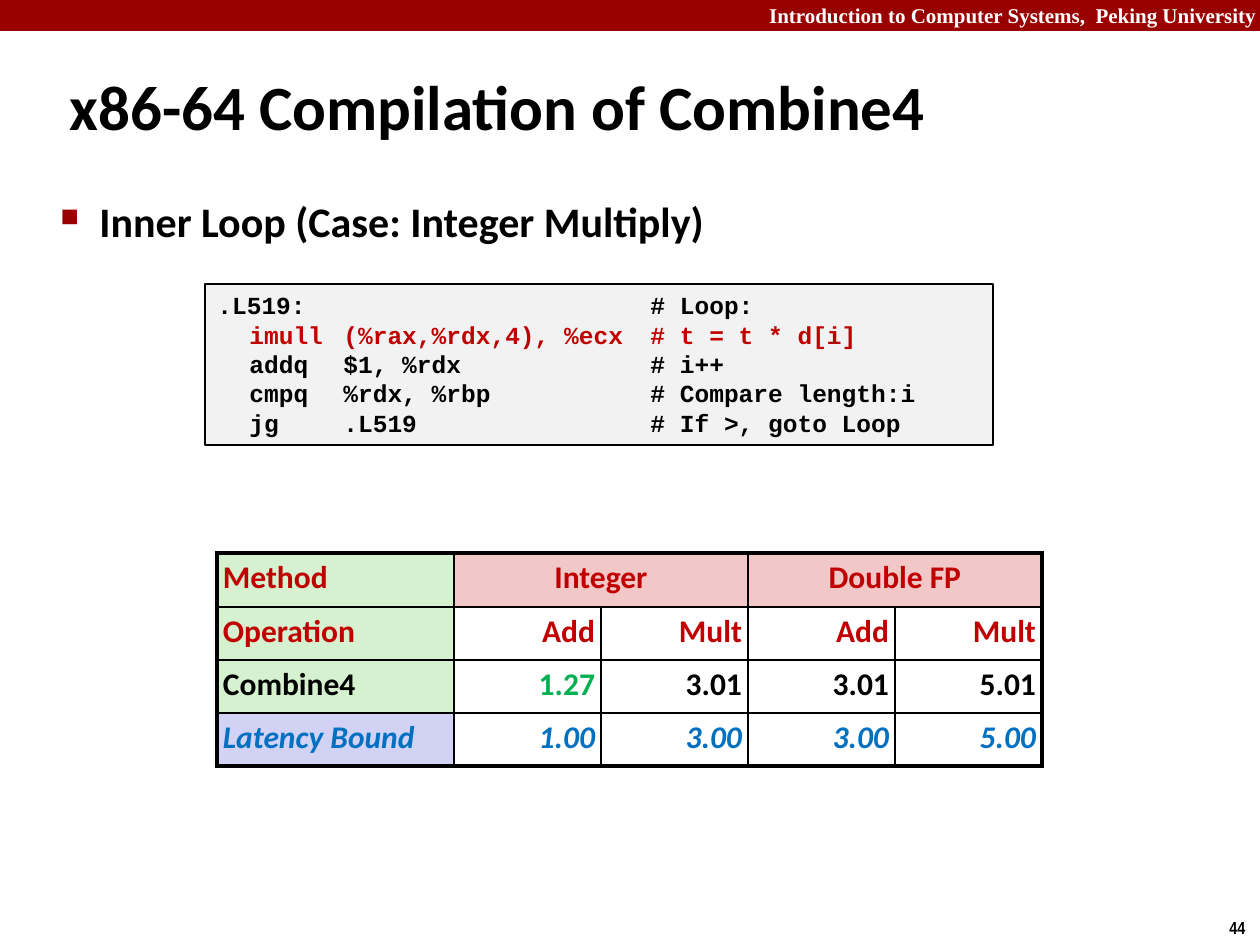
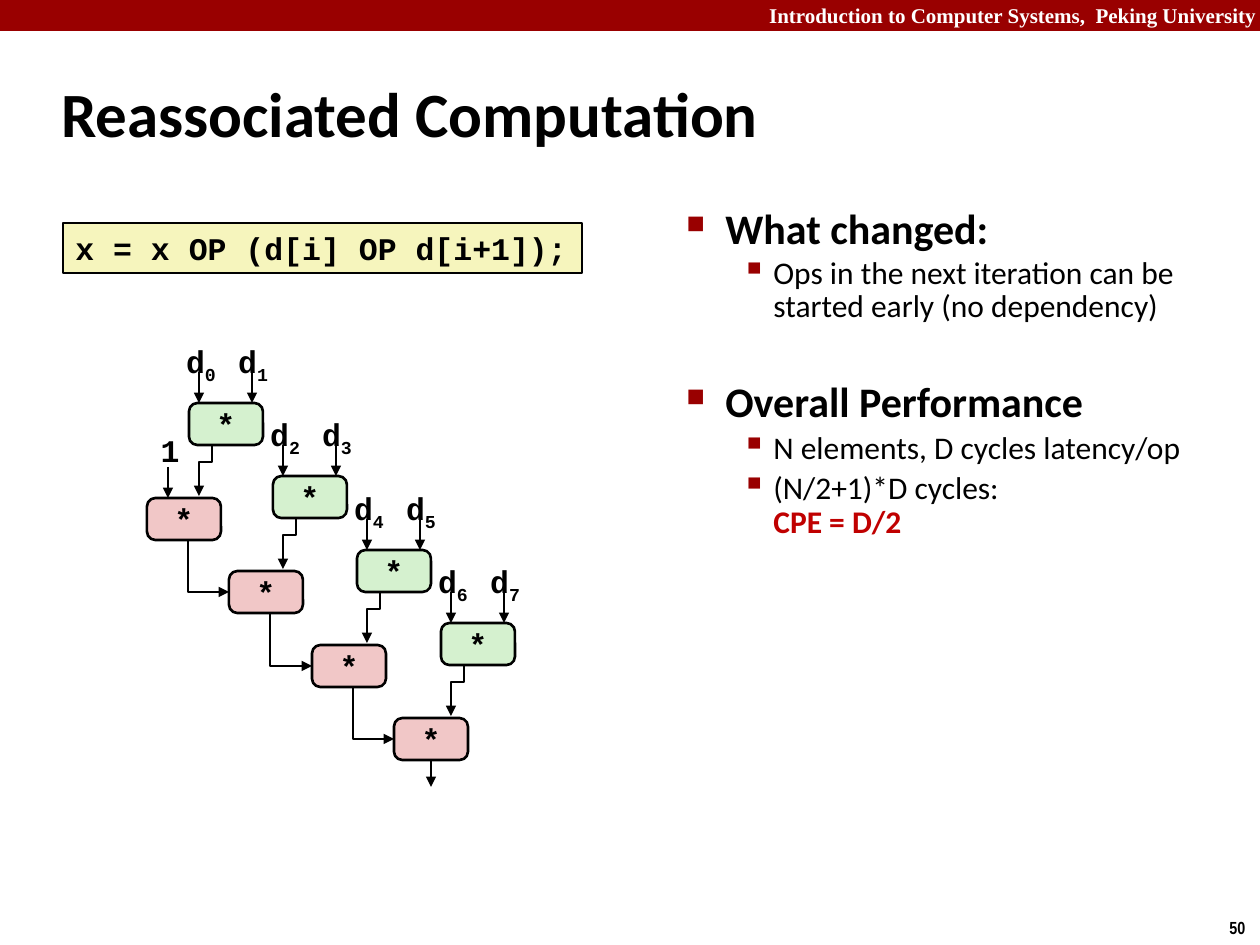
from dataclasses import dataclass, replace

from lxml.etree import SubElement
from pptx import Presentation
from pptx.dml.color import RGBColor
from pptx.enum.shapes import MSO_CONNECTOR, MSO_SHAPE
from pptx.enum.text import MSO_ANCHOR, PP_ALIGN
from pptx.oxml.ns import qn
from pptx.util import Emu, Pt

SCALE = 914400 / 126


def px(length):
    return Emu(round(length * SCALE))


@dataclass(frozen=True)
class Style:
    font: str
    size: int
    color: str = "000000"
    bold: bool = True
    italic: bool = False


@dataclass(frozen=True)
class Theme:
    black: str = "000000"
    white: str = "FFFFFF"
    crimson: str = "990000"
    red: str = "C00000"
    green: str = "00B050"
    blue: str = "0070C0"
    pale_gray: str = "F2F2F2"
    pale_yellow: str = "F6F5BD"
    pale_green: str = "D5F1CF"
    pale_red: str = "F1C7C7"
    pale_blue: str = "D2D2F4"
    header: Style = Style("Times New Roman", 12, "FFFFFF")
    number: Style = Style("Arial Narrow", 10)
    title: Style = Style("Calibri", 36)
    heading: Style = Style("Calibri", 24)
    detail: Style = Style("Calibri", 18, bold=False)
    cell: Style = Style("Calibri", 18)
    listing: Style = Style("Courier New", 14)
    code: Style = Style("Courier New", 18)


THEME = Theme()


def apply_style(font, style):
    font.name = style.font
    font.size = Pt(style.size)
    font.bold = style.bold
    font.italic = style.italic
    font.color.rgb = RGBColor.from_string(style.color)


def write(paragraph, text, style, align=PP_ALIGN.LEFT):
    paragraph.text = text
    paragraph.alignment = align
    apply_style(paragraph.font, style)


def add_text(slide, box, text, style, align=PP_ALIGN.LEFT, wrap=True, anchor=MSO_ANCHOR.TOP):
    frame = slide.shapes.add_textbox(*map(px, box)).text_frame
    frame.word_wrap = wrap
    frame.vertical_anchor = anchor
    write(frame.paragraphs[0], text, style, align)
    return frame


def add_box(slide, box, fill, line_width=0, kind=MSO_SHAPE.RECTANGLE):
    shape = slide.shapes.add_shape(kind, *map(px, box))
    shape.shadow.inherit = False
    shape.fill.solid()
    shape.fill.fore_color.rgb = RGBColor.from_string(fill)
    if line_width:
        set_line(shape, line_width)
    else:
        shape.line.fill.background()
    return shape


def set_line(shape, width):
    shape.line.color.rgb = RGBColor.from_string(THEME.black)
    shape.line.width = Pt(width)


def add_arrowhead(shape):
    set_line(shape, 1.5)
    SubElement(shape.element.spPr.find(qn("a:ln")), qn("a:tailEnd"), type="triangle")


def add_arrow(slide, x, top, bottom, source=None):
    connector = slide.shapes.add_connector(
        MSO_CONNECTOR.STRAIGHT, px(x), px(top), px(x), px(bottom))
    if source is not None:
        connector.begin_connect(source, 2)
    add_arrowhead(connector)
    SubElement(connector.element.spPr, qn("a:effectLst"))


def add_bent_arrow(slide, start, *points):
    builder = slide.shapes.build_freeform(*start, scale=SCALE)
    builder.add_line_segments(points, close=False)
    shape = builder.convert_to_shape()
    shape.shadow.inherit = False
    shape.fill.background()
    add_arrowhead(shape)


def add_bullet(paragraph, level):
    symbol, size, margin, hang = (("■", 60, 39, 39), ("▪", 110, 87, 32))[level]
    paragraph.level = level
    properties = paragraph._p.get_or_add_pPr()
    properties.set("marL", str(px(margin)))
    properties.set("indent", str(px(-hang)))
    color = SubElement(properties, qn("a:buClr"))
    SubElement(color, qn("a:srgbClr"), val=THEME.crimson)
    SubElement(properties, qn("a:buSzPct"), val=str(size * 1000))
    SubElement(properties, qn("a:buChar"), char=symbol)


def add_tabs(paragraph, stops):
    tabs = SubElement(paragraph._p.get_or_add_pPr(), qn("a:tabLst"))
    for stop in stops:
        SubElement(tabs, qn("a:tab"), pos=str(px(stop)), algn="l")


def add_frame(presentation, title, title_box, number):
    slide = presentation.slides.add_slide(presentation.slide_layouts[6])
    add_box(slide, (0, 0, 1260, 31), THEME.crimson)
    add_text(slide, (756, -4, 513, 38), "Introduction to Computer Systems,  Peking University",
             THEME.header, PP_ALIGN.RIGHT)
    add_text(slide, (1217, 911, 43, 34), str(number), THEME.number, wrap=False)
    add_text(slide, title_box, title, THEME.title, anchor=MSO_ANCHOR.MIDDLE)
    return slide


def add_outline(slide, box, items):
    frame = slide.shapes.add_textbox(*map(px, box)).text_frame
    frame.word_wrap = True
    for index, (level, text, spacing, before) in enumerate(items):
        paragraph = frame.paragraphs[0] if index == 0 else frame.add_paragraph()
        add_bullet(paragraph, level)
        paragraph.line_spacing = spacing
        paragraph.space_before = Pt(before)
        write(paragraph, text, THEME.detail if level else THEME.heading)
    return frame


def add_code_box(slide, box, lines, fill, style, tabs=(), highlight=None, wrap=True):
    frame = add_box(slide, box, fill, 1).text_frame
    frame.word_wrap = wrap
    frame.vertical_anchor = MSO_ANCHOR.TOP
    for index, line in enumerate(lines):
        paragraph = frame.paragraphs[0] if index == 0 else frame.add_paragraph()
        if tabs:
            add_tabs(paragraph, tabs)
        write(paragraph, line, replace(style, color=THEME.red) if index == highlight else style)


def add_borders(cell, widths):
    properties = cell._tc.get_or_add_tcPr()
    for side, width in zip("LRTB", widths):
        line = SubElement(properties, qn(f"a:ln{side}"), w=str(Pt(width)))
        fill = SubElement(line, qn("a:solidFill"))
        SubElement(fill, qn("a:srgbClr"), val=THEME.black)


def add_cycles_table(slide, box):
    rows = (
        ("Method", "Integer", "", "Double FP", ""),
        ("Operation", "Add", "Mult", "Add", "Mult"),
        ("Combine4", "1.27", "3.01", "3.01", "5.01"),
        ("Latency Bound", "1.00", "3.00", "3.00", "5.00"),
    )
    heading = replace(THEME.cell, color=THEME.red)
    bound = replace(THEME.cell, color=THEME.blue, italic=True)
    styles = (heading, heading, THEME.cell, bound)
    label_fills = (THEME.pale_green,) * 3 + (THEME.pale_blue,)
    row_count, column_count = len(rows), len(rows[0])
    table = slide.shapes.add_table(row_count, column_count, *map(px, box)).table
    table.first_row = table.horz_banding = False
    for column, width in zip(table.columns, (237, 147, 147, 147, 147)):
        column.width = px(width)
    for row, height in zip(table.rows, (54, 53, 53, 53)):
        row.height = px(height)
    for first in (1, 3):
        table.cell(0, first).merge(table.cell(0, first + 1))
    for r, values in enumerate(rows):
        for c, text in enumerate(values):
            cell = table.cell(r, c)
            span = cell.span_width if cell.is_merge_origin else 1
            outer = (c == 0, c + span == column_count, r == 0, r == row_count - 1)
            add_borders(cell, [2.25 if edge else 1 for edge in outer])
            cell.fill.solid()
            fill = label_fills[r] if c == 0 else THEME.white if r else THEME.pale_red
            cell.fill.fore_color.rgb = RGBColor.from_string(fill)
            cell.margin_left = cell.margin_right = cell.margin_top = cell.margin_bottom = px(6)
            if cell.is_spanned:
                continue
            align = PP_ALIGN.LEFT if c == 0 else PP_ALIGN.RIGHT if r else PP_ALIGN.CENTER
            style = replace(styles[r], color=THEME.green) if text == "1.27" else styles[r]
            paragraph = cell.text_frame.paragraphs[0]
            paragraph.line_spacing = 0.95
            write(paragraph, text, style, align)


def add_operand(slide, box, name, subscript=""):
    frame = add_text(slide, box, name, THEME.code, PP_ALIGN.CENTER, wrap=False)
    frame.margin_left = frame.margin_right = frame.margin_top = frame.margin_bottom = px(6)
    if subscript:
        run = frame.paragraphs[0].add_run()
        run.text = subscript
        run._r.get_or_add_rPr().set("baseline", "-25000")


def add_multiply(slide, left, top, fill):
    shape = add_box(slide, (left, top, 74, 42), fill, 1.5, MSO_SHAPE.ROUNDED_RECTANGLE)
    shape.adjustments[0] = 0.2
    shape.text_frame.word_wrap = False
    shape.text_frame.vertical_anchor = MSO_ANCHOR.MIDDLE
    write(shape.text_frame.paragraphs[0], "*", THEME.code, PP_ALIGN.CENTER)
    return shape


def add_dependency_diagram(slide, box, count=4):
    left, top, width, height = box
    add_operand(slide, (left + 7, top + 89, 32, 50), "1")
    add_arrow(slide, left + 21, top + 131, top + 162)
    for step in range(count):
        drop = top + 147 * step // 2
        pair_left, pair_top = left + 42 + 84 * step, drop + 67
        pair_bottom = pair_top + 42
        add_multiply(slide, pair_left, pair_top, THEME.pale_green)
        for side in range(2):
            add_operand(slide, (pair_left - 10 + 52 * side, drop, 44, 50), "d", str(2 * step + side))
            add_arrow(slide, pair_left + 10 + 53 * side, pair_top - 31, pair_top)
        add_bent_arrow(slide, (pair_left + 23, pair_bottom), (pair_left + 23, pair_bottom + 17),
                       (pair_left + 10, pair_bottom + 17), (pair_left + 10, pair_bottom + 51))
        total_left, total_top = left + 165 * step // 2, drop + 162
        total_bottom = total_top + 42
        total = add_multiply(slide, total_left, total_top, THEME.pale_red)
        if step < count - 1:
            next_left = left + 165 * (step + 1) // 2
            next_middle = top + 147 * (step + 1) // 2 + 183
            add_bent_arrow(slide, (total_left + 41, total_bottom),
                           (total_left + 41, next_middle), (next_left, next_middle))
        else:
            add_arrow(slide, total_left + 37, total_bottom, top + height, total)


def build_compilation_slide(presentation):
    slide = add_frame(presentation, "x86-64 Compilation of Combine4", (57, 53, 1046, 105), 44)
    add_outline(slide, (48, 189, 1138, 95), [(0, "Inner Loop (Case: Integer Multiply)", 1.0, 0)])
    lines = (
        ".L519:\t\t# Loop:",
        "\timull\t(%rax,%rdx,4), %ecx\t# t = t * d[i]",
        "\taddq\t$1, %rdx\t# i++",
        "\tcmpq\t%rdx, %rbp\t# Compare length:i",
        "\tjg\t.L519\t# If >, goto Loop",
    )
    add_code_box(slide, (205, 284, 788, 161), lines, THEME.pale_gray, THEME.listing,
                 (32, 126, 433), highlight=1)
    add_cycles_table(slide, (217, 553, 825, 213))


def build_reassociation_slide(presentation):
    slide = add_frame(presentation, "Reassociated Computation", (49, 60, 1046, 105), 50)
    frame = add_outline(slide, (674, 204, 544, 719), [
        (0, "What changed:", 0.85, 0),
        (1, "Ops in the next iteration can be started early (no dependency)", 0.85, 3.6),
        (0, "Overall Performance", 0.85, 34),
        (1, "N elements, D cycles latency/op", 0.9, 3.6),
        (1, "(N/2+1)*D cycles:", 0.9, 3.6),
    ])
    conclusion = frame.paragraphs[-1]
    conclusion.add_line_break()
    run = conclusion.add_run()
    run.text = "CPE = D/2"
    run.font.bold = True
    run.font.color.rgb = RGBColor.from_string(THEME.red)
    add_dependency_diagram(slide, (147, 336, 373, 451))
    add_code_box(slide, (63, 223, 519, 50), ["x = x OP (d[i] OP d[i+1]);"],
                 THEME.pale_yellow, THEME.code, wrap=False)


def main():
    presentation = Presentation()
    presentation.slide_width, presentation.slide_height = px(1260), px(945)
    build_compilation_slide(presentation)
    build_reassociation_slide(presentation)
    presentation.save("out.pptx")


if __name__ == "__main__":
    main()
